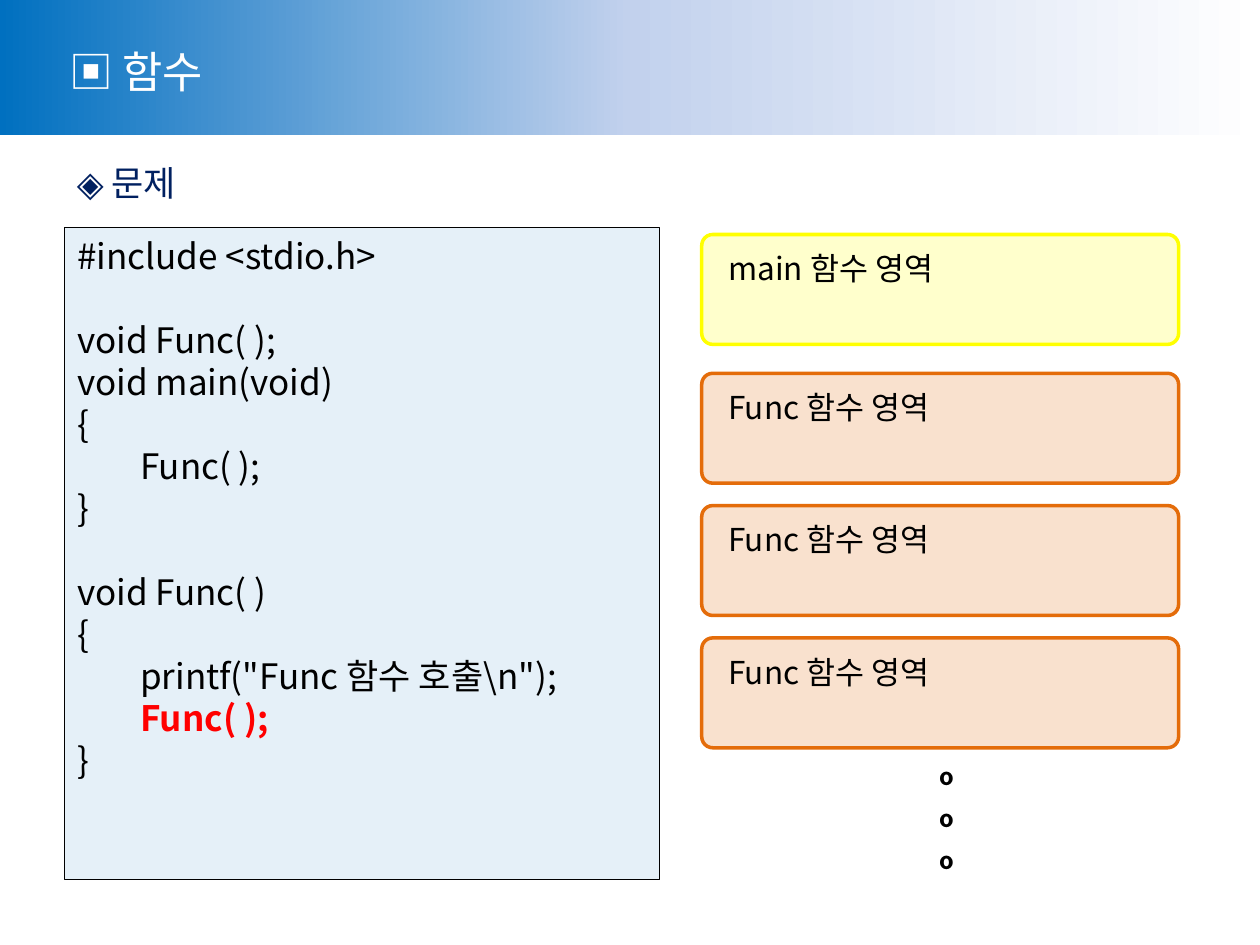
from copy import deepcopy
from dataclasses import dataclass

from lxml.etree import SubElement
from pptx import Presentation
from pptx.dml.color import RGBColor
from pptx.enum.shapes import MSO_SHAPE
from pptx.enum.text import MSO_ANCHOR, MSO_AUTO_SIZE, PP_ALIGN
from pptx.oxml.ns import qn
from pptx.util import Pt

FONT = "Noto Sans CJK KR"
BLACK = "000000"
YELLOW = "FFFF00"
ORANGE = "E46C0A"
CODE = (
    "#include <stdio.h>",
    "",
    "void Func( );",
    "void main(void)",
    "{",
    "\tFunc( );",
    "}",
    "",
    "void Func( )",
    "{",
    '\tprintf("Func 함수 호출\\n");',
    "\tFunc( );",
    "}",
)
RECURSIVE_CALL = 11


@dataclass(frozen=True)
class Box:
    left: float
    top: float
    width: float
    height: float

    def lengths(self):
        return Pt(self.left), Pt(self.top), Pt(self.width), Pt(self.height)


@dataclass(frozen=True)
class Label:
    lines: tuple[str, ...]
    box: Box
    size: float
    color: str = BLACK
    bold: bool = False
    wrap: bool = False


@dataclass(frozen=True)
class Region:
    function: str
    top: float
    color: str


def rgb(color: str) -> RGBColor:
    return RGBColor.from_string(color)


def style_paragraph(paragraph, size: float, color: str, bold: bool = False) -> None:
    paragraph.alignment = PP_ALIGN.LEFT
    for run in paragraph.runs:
        run.font.size = Pt(size)
        run.font.name = FONT
        run.font.bold = bold
        run.font.color.rgb = rgb(color)
        SubElement(run.font._element, qn("a:ea"), typeface=FONT)


def add_label(shapes, label: Label) -> None:
    frame = shapes.add_textbox(*label.box.lengths()).text_frame
    frame.word_wrap = label.wrap
    frame.auto_size = MSO_AUTO_SIZE.SHAPE_TO_FIT_TEXT
    frame.text = "\n".join(label.lines)
    for paragraph in frame.paragraphs:
        style_paragraph(paragraph, label.size, label.color, label.bold)


def add_panel(shapes, kind, box: Box, fill: str, opacity: int, line: str, weight: float):
    panel = shapes.add_shape(kind, *box.lengths())
    panel.shadow.inherit = False
    panel.fill.solid()
    panel.fill.fore_color.rgb = rgb(fill)
    fill_color = panel._element.spPr.find(qn("a:solidFill"))[0]
    SubElement(fill_color, qn("a:alpha"), val=str(opacity * 1000))
    panel.line.color.rgb = rgb(line)
    panel.line.width = Pt(weight)
    return panel


def add_banner(shapes) -> None:
    banner = shapes.add_shape(MSO_SHAPE.RECTANGLE, *Box(0, 0, 720, 77).lengths())
    banner.shadow.inherit = False
    banner.line.fill.background()
    banner.fill.gradient()
    banner.fill.gradient_angle = 0
    stop_list = banner._element.spPr.find(qn("a:gradFill")).find(qn("a:gsLst"))
    stop_list.insert(1, deepcopy(stop_list[0]))
    colors = ("0070C0", "C2D1ED", "FFFFFF")
    for stop, position, color in zip(banner.fill.gradient_stops, (0, 0.5, 1), colors):
        stop.position = position
        stop.color.rgb = rgb(color)


def add_code(shapes) -> None:
    listing = add_panel(
        shapes, MSO_SHAPE.RECTANGLE, Box(37, 130.2, 340, 372.5), "0070C0", 10, BLACK, 0.75
    )
    frame = listing.text_frame
    frame.word_wrap = True
    frame.vertical_anchor = MSO_ANCHOR.TOP
    frame.text = "\n".join(CODE)
    for index, paragraph in enumerate(frame.paragraphs):
        recursive = index == RECURSIVE_CALL
        paragraph.font.size = Pt(20)
        style_paragraph(paragraph, 20, "FF0000" if recursive else BLACK, recursive)


def add_region(shapes, region: Region) -> None:
    group = shapes.add_group_shape().shapes
    frame = add_panel(
        group,
        MSO_SHAPE.ROUNDED_RECTANGLE,
        Box(401, region.top, 272.5, 62.8),
        region.color,
        20,
        region.color,
        2,
    )
    frame.adjustments[0] = 0.1
    add_label(
        group,
        Label((f"{region.function} 함수 영역",), Box(409, region.top + 5, 140, 28.8), 18),
    )


def main() -> None:
    deck = Presentation()
    deck.slide_width, deck.slide_height = Pt(720), Pt(540)
    shapes = deck.slides.add_slide(deck.slide_layouts[6]).shapes

    add_banner(shapes)
    add_label(
        shapes, Label((" ◈ 문제",), Box(32.4, 88.6, 651, 31.7), 20, "002060", wrap=True)
    )
    add_code(shapes)
    add_label(shapes, Label(("▣ 함수",), Box(32.4, 22.3, 99.4, 37.4), 25, "FFFFFF"))

    regions = [Region("main", 134, YELLOW)]
    regions += [Region("Func", 213.3 + 75.6 * call, ORANGE) for call in range(3)]
    for region in regions:
        add_region(shapes, region)

    add_label(shapes, Label(("º",) * 3, Box(530, 434, 24, 80), 20, bold=True))
    deck.save("out.pptx")


if __name__ == "__main__":
    main()
